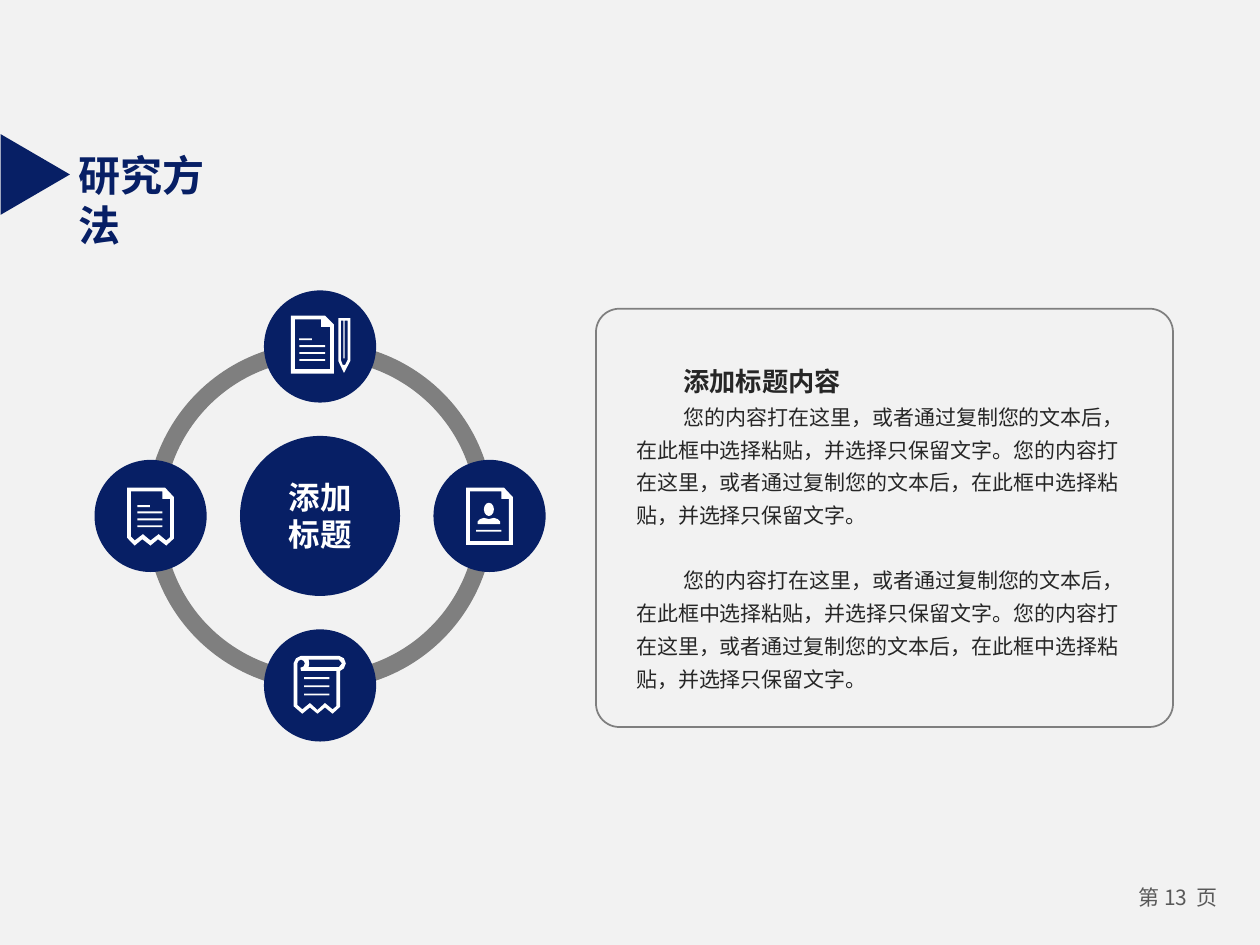
from pptx import Presentation
from pptx.dml.color import RGBColor
from pptx.enum.shapes import MSO_SHAPE
from pptx.enum.text import MSO_ANCHOR, MSO_AUTO_SIZE, PP_ALIGN
from pptx.oxml.ns import qn
from pptx.util import Pt

PX = 4572  # 200 px to the inch
NAVY = RGBColor(0x07, 0x1F, 0x65)
GREY = RGBColor(0x7F, 0x7F, 0x7F)
INK = RGBColor(0x26, 0x26, 0x26)
SOFT = RGBColor(0x59, 0x59, 0x59)
WHITE = RGBColor(0xFF, 0xFF, 0xFF)
PAPER = RGBColor(0xF2, 0xF2, 0xF2)
ARIAL = "Arial"
NOTO = "Noto Sans CJK SC"

BODY = ("您的内容打在这里，或者通过复制您的文本后，在此框中选择粘贴，并选择只保留文字。"
        "您的内容打在这里，或者通过复制您的文本后，在此框中选择粘贴，并选择只保留文字。")

# Icon outlines, measured from the centre of their disc
TORN = [
    [(-37, -45), (23, -45), (37, -30), (37, 36), (25, 47), (12, 37),
     (0, 47), (-13, 37), (-25, 47), (-37, 35)],
    [(-31, -39), (19, -39), (19, -27), (31, -27), (31, 34), (25, 39),
     (13, 29), (0, 39), (-12, 29), (-25, 39), (-31, 33)],
]
SHEET = [
    [(-46, -49), (8, -49), (22, -35), (22, 43), (-46, 43)],
    [(-40, -43), (2, -43), (2, -31), (16, -31), (16, 36), (-40, 36)],
]
PENCIL = [
    [(29, -45), (48, -45), (48, 23), (38, 42), (29, 23)],
    [(33, -41), (37, -41), (37, 19), (39, 19), (39, -41), (44, -41),
     (44, 21), (40, 29), (36, 29), (33, 21)],
]
CARD = [
    [(-37, -45), (23, -45), (37, -30), (37, 46), (-37, 46)],
    [(-31, -39), (19, -39), (19, -27), (31, -27), (31, 40), (-31, 40)],
]
BUST = [[(-19, 13), (-19, 9), (-15, 5), (-9, 3), (-1, 5), (7, 3),
         (13, 5), (17, 9), (17, 13)]]
SCROLL = [
    [(-30, -47), (30, -47), (38, -43), (41, -35), (38, -27), (32, -23),
     (32, 34), (20, 45), (8, 35), (-4, 45), (-16, 35), (-28, 45),
     (-42, 33), (-42, -35), (-38, -43)],
    [(26, -23), (-30, -23), (-31, -28), (-26, -30), (-24, -35),
     (-26, -39), (-30, -41), (-34, -39), (-36, -35), (-36, 31),
     (-28, 38), (-16, 28), (-4, 39), (8, 28), (20, 38), (26, 33)],
    [(30, -41), (-18, -41), (-17, -35), (-18, -29), (30, -29), (35, -35)],
]


def paint(shape, fill=None, line=None, width=1):
    shape.shadow.inherit = False
    if fill is None:
        shape.fill.background()
    else:
        shape.fill.solid()
        shape.fill.fore_color.rgb = fill
    if line is None:
        shape.line.fill.background()
    else:
        shape.line.color.rgb = line
        shape.line.width = Pt(width)
    return shape


def add(slide, kind, x, y, w, h, **look):
    shape = slide.shapes.add_shape(kind, x * PX, y * PX, w * PX, h * PX)
    return paint(shape, **look)


def disc(slide, x, y, size):
    """Place a navy circle by its centre."""
    half = size // 2
    return add(slide, MSO_SHAPE.OVAL, x - half, y - half, size, size, fill=NAVY)


def trace(slide, x, y, loops):
    """Draw closed loops around a centre; inner loops are holes."""
    pen = None
    for loop in loops:
        (left, top), *rest = [(x + a, y + b) for a, b in loop]
        if pen is None:
            pen = slide.shapes.build_freeform(left, top, scale=PX)
        else:
            pen.move_to(left, top)
        pen.add_line_segments(rest, close=True)
    paint(pen.convert_to_shape(), WHITE)


def rules(slide, x, y, spans):
    """Draw text lines, each given as offset and width."""
    for left, top, wide in spans:
        add(slide, MSO_SHAPE.RECTANGLE, x + left, y + top, wide, 3, fill=WHITE)


def write(para, text, size, color, face, bold=False, pitch=None):
    run = para.add_run()
    run.text = text
    font = run.font
    font.size, font.bold, font.name = Pt(size), bold, face
    font.color.rgb = color
    east = font._element.makeelement(qn("a:ea"), {"typeface": face})
    font._element.find(qn("a:latin")).addnext(east)
    if pitch:
        para.line_spacing = Pt(pitch)


def header(slide, x, y):
    mark = add(slide, MSO_SHAPE.ISOSCELES_TRIANGLE, x - 8, y, 128, 110, fill=NAVY)
    mark.rotation = 90
    title = slide.shapes.title
    title.left, title.top = (x + 104) * PX, (y + 4) * PX
    title.width, title.height = 306 * PX, 100 * PX
    frame = title.text_frame
    frame.word_wrap = True
    frame.auto_size = MSO_AUTO_SIZE.NONE
    frame.vertical_anchor = MSO_ANCHOR.TOP
    para = frame.paragraphs[0]
    para.alignment = PP_ALIGN.LEFT
    write(para, "研究方法", 24, NAVY, ARIAL, True, 29)


def notes_icon(slide, x, y):
    trace(slide, x, y, SHEET)
    trace(slide, x, y, PENCIL)
    rules(slide, x, y, [(-33, -13, 20)] + [(-33, -2 + 11 * i, 41) for i in range(3)])


def profile_icon(slide, x, y):
    trace(slide, x, y, CARD)
    add(slide, MSO_SHAPE.OVAL, x - 9, y - 21, 16, 21, fill=WHITE)
    trace(slide, x, y, BUST)
    rules(slide, x, y, [(-21, 22, 40)])


def scroll_icon(slide, x, y):
    trace(slide, x, y, SCROLL)
    rules(slide, x, y, [(-25, -13 + 13 * i, 40) for i in range(3)])


def receipt_icon(slide, x, y):
    trace(slide, x, y, TORN)
    rules(slide, x, y, [(-21, -17, 20)] + [(-21, -7 + 11 * i, 40) for i in range(3)])


def wheel(slide, x, y, reach):
    """Draw the hub, ring and four icon discs around a centre."""
    hub = disc(slide, x, y, 254)
    frame = hub.text_frame
    frame.vertical_anchor = MSO_ANCHOR.MIDDLE
    for i, text in enumerate(("添加", "标题")):
        para = frame.add_paragraph() if i else frame.paragraphs[0]
        para.alignment = PP_ALIGN.CENTER
        write(para, text, 18, WHITE, ARIAL, True, 21)
    ring = reach + 6
    for i in range(4):
        arc = add(slide, MSO_SHAPE.BLOCK_ARC, x - ring, y - ring, 2 * ring,
                  2 * ring, fill=GREY, line=GREY, width=0.75)
        ends = (54 * i, 54 * (i + 1) % 216, 0.046)
        for k, value in enumerate(ends):
            arc.adjustments[k] = value
    spots = [(0, 1, scroll_icon), (-1, 0, receipt_icon),
             (0, -1, notes_icon), (1, 0, profile_icon)]
    for dx, dy, icon in spots:
        spot = x + dx * reach, y + dy * reach
        disc(slide, *spot, 178)
        icon(slide, *spot)


def panel(slide, x, y, w, h):
    card = add(slide, MSO_SHAPE.ROUNDED_RECTANGLE, x, y, w, h, line=GREY)
    card.adjustments[0] = 0.056
    box = slide.shapes.add_textbox((x + 44) * PX, (y + 30) * PX,
                                   (w - 86) * PX, (h - 70) * PX)
    frame = box.text_frame
    frame.word_wrap = True
    rows = [("添加标题内容", 15, True, 36, 0),
            (BODY, 12, False, 18.7, 0), (BODY, 12, False, 18.7, 18.7)]
    for i, (text, size, bold, pitch, gap) in enumerate(rows):
        para = frame.add_paragraph() if i else frame.paragraphs[0]
        para._p.get_or_add_pPr().set("indent", str(75 * PX))
        if gap:
            para.space_before = Pt(gap)
        write(para, text, size, INK, NOTO, bold, pitch)


def footer(slide, x, y, w, h):
    box = slide.shapes.add_textbox(x * PX, y * PX, w * PX, h * PX)
    frame = box.text_frame
    frame.margin_left = frame.margin_right = 14 * PX
    frame.margin_top = frame.margin_bottom = 8 * PX
    para = frame.paragraphs[0]
    para.alignment = PP_ALIGN.CENTER
    for text in ("第 ", "13", "  页"):
        write(para, text, 12, SOFT, NOTO)


def main():
    deck = Presentation()
    deck.slide_width, deck.slide_height = 2000 * PX, 1500 * PX
    slide = deck.slides.add_slide(deck.slide_layouts[5])
    slide.background.fill.solid()
    slide.background.fill.fore_color.rgb = PAPER
    footer(slide, 1780, 1396, 180, 80)
    wheel(slide, 508, 819, 269)
    panel(slide, 946, 490, 916, 664)
    header(slide, 0, 222)
    deck.save("out.pptx")


if __name__ == "__main__":
    main()
